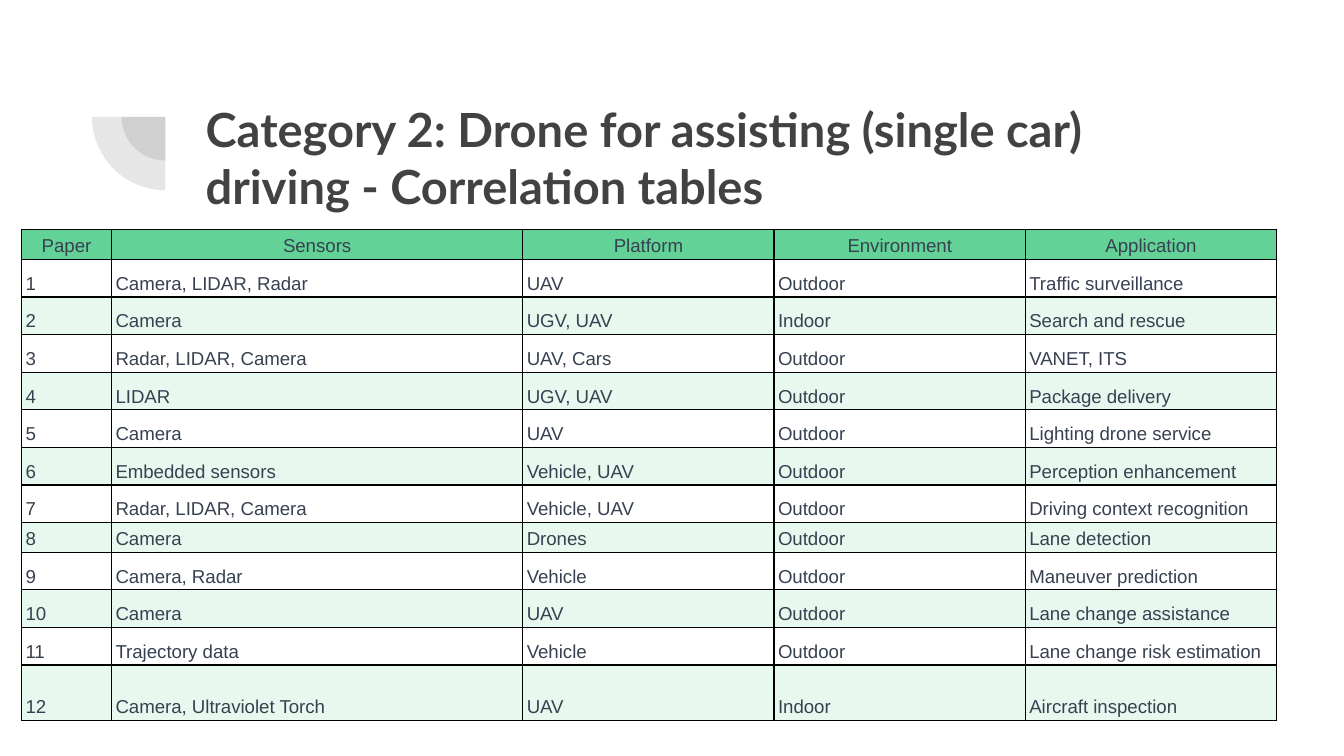
"""Build the slide of correlation tables for drone-assisted driving."""
import pptx
import pptx.dml.color
import pptx.enum.shapes
import pptx.enum.text
import pptx.oxml
import pptx.oxml.ns
import pptx.util

RGB = pptx.dml.color.RGBColor
DARK = RGB(0x42, 0x42, 0x42)
SLATE = RGB(0x37, 0x41, 0x51)
GREEN = RGB(0x63, 0xD2, 0x97)
MINT = RGB(0xE7, 0xF9, 0xEF)
WHITE = RGB(0xFF, 0xFF, 0xFF)
BLACK = RGB(0, 0, 0)

TITLE = "Category 2: Drone for assisting (single car) driving - Correlation tables"
HEAD = ("Paper", "Sensors", "Platform", "Environment", "Application")
PAPERS = [
    ("Camera, LIDAR, Radar", "UAV", "Outdoor", "Traffic surveillance"),
    ("Camera", "UGV, UAV", "Indoor", "Search and rescue"),
    ("Radar, LIDAR, Camera", "UAV, Cars", "Outdoor", "VANET, ITS"),
    ("LIDAR", "UGV, UAV", "Outdoor", "Package delivery"),
    ("Camera", "UAV", "Outdoor", "Lighting drone service"),
    ("Embedded sensors", "Vehicle, UAV", "Outdoor", "Perception enhancement"),
    ("Radar, LIDAR, Camera", "Vehicle, UAV", "Outdoor", "Driving context recognition"),
    ("Camera", "Drones", "Outdoor", "Lane detection"),
    ("Camera, Radar", "Vehicle", "Outdoor", "Maneuver prediction"),
    ("Camera", "UAV", "Outdoor", "Lane change assistance"),
    ("Trajectory data", "Vehicle", "Outdoor", "Lane change risk estimation"),
    ("Camera, Ultraviolet Torch", "UAV", "Indoor", "Aircraft inspection"),
]
WIDE = 10
HIGH = WIDE * 9 / 16
COLS = (0.67, 3.06, 1.87, 1.87, 1.87)
ROW = 0.28
ODD = {0: 0.22, 8: 0.22, 12: 0.41}
HUB = (1.23, 0.87)
PIES = (0.65, 1.09)

inch = pptx.util.Inches
A_NS = pptx.oxml.ns.nsdecls("a")


def style(run, font, size, color, bold=False):
    run.font.name = font
    run.font.size = pptx.util.Pt(size)
    run.font.color.rgb = color
    run.font.bold = bold


def add_pie(slide, size):
    left, top = (mid - size / 2 for mid in HUB)
    pie = slide.shapes.add_shape(
        pptx.enum.shapes.MSO_SHAPE.PIE, inch(left), inch(top), inch(size), inch(size))
    pie.adjustments[0], pie.adjustments[1] = 108, 162
    pie.rotation = 270
    pie.shadow.inherit = False
    pie.line.fill.background()
    pie.fill.solid()
    pie.fill.fore_color.rgb = DARK
    tint = pie.fill._xPr.find(".//" + pptx.oxml.ns.qn("a:srgbClr"))
    tint.append(pptx.oxml.parse_xml(f'<a:alpha {A_NS} val="13000"/>'))


def add_title(slide):
    title = slide.shapes.title
    title.left, title.top, title.width, title.height = map(inch, (1.43, 0.65, 7.69, 1.09))
    frame = title.text_frame
    frame.text = TITLE
    frame.word_wrap = True
    frame.auto_size = pptx.enum.text.MSO_AUTO_SIZE.NONE
    frame.vertical_anchor = pptx.enum.text.MSO_ANCHOR.TOP
    frame.margin_left = frame.margin_right = inch(0.1)
    frame.margin_top = frame.margin_bottom = inch(0.1)
    para = frame.paragraphs[0]
    para.alignment = pptx.enum.text.PP_ALIGN.LEFT
    para.line_spacing = 1.0
    style(para.runs[0], "Lato", 25.2, DARK, True)


def add_lines(cell):
    props = cell._tc.get_or_add_tcPr()
    for spot, side in enumerate("LRTB"):
        props.insert(spot, pptx.oxml.parse_xml(
            f'<a:ln{side} {A_NS} w="{pptx.util.Pt(0.75)}"><a:solidFill>'
            f'<a:srgbClr val="{BLACK}"/></a:solidFill></a:ln{side}>'))


def set_cell(cell, text, fill, align):
    cell.text_frame.text = text
    cell.vertical_anchor = pptx.enum.text.MSO_ANCHOR.BOTTOM
    cell.margin_left = cell.margin_right = inch(0.03)
    cell.margin_top = cell.margin_bottom = inch(0.02)
    cell.fill.solid()
    cell.fill.fore_color.rgb = fill
    add_lines(cell)
    para = cell.text_frame.paragraphs[0]
    para.alignment = align
    para.line_spacing = 1.15
    style(para.runs[0], "Arial", 10, SLATE)


def add_grid(slide):
    rows = [HEAD] + [(str(num), *paper) for num, paper in enumerate(PAPERS, 1)]
    highs = [ODD.get(num, ROW) for num in range(len(rows))]
    grid = slide.shapes.add_table(
        len(rows), len(COLS), inch(0.16), inch(1.71), inch(sum(COLS)), inch(sum(highs))).table
    for col, wide in zip(grid.columns, COLS):
        col.width = inch(wide)
    for num, (texts, high) in enumerate(zip(rows, highs)):
        grid.rows[num].height = inch(high)
        fill = GREEN if num == 0 else WHITE if num % 2 else MINT
        align = pptx.enum.text.PP_ALIGN.LEFT if num else pptx.enum.text.PP_ALIGN.CENTER
        for col, text in enumerate(texts):
            set_cell(grid.cell(num, col), text, fill, align)


def main():
    deck = pptx.Presentation()
    deck.slide_width, deck.slide_height = inch(WIDE), inch(HIGH)
    slide = deck.slides.add_slide(deck.slide_layouts[5])
    for size in PIES:
        add_pie(slide, size)
    add_title(slide)
    add_grid(slide)
    deck.save("out.pptx")


if __name__ == "__main__":
    main()
